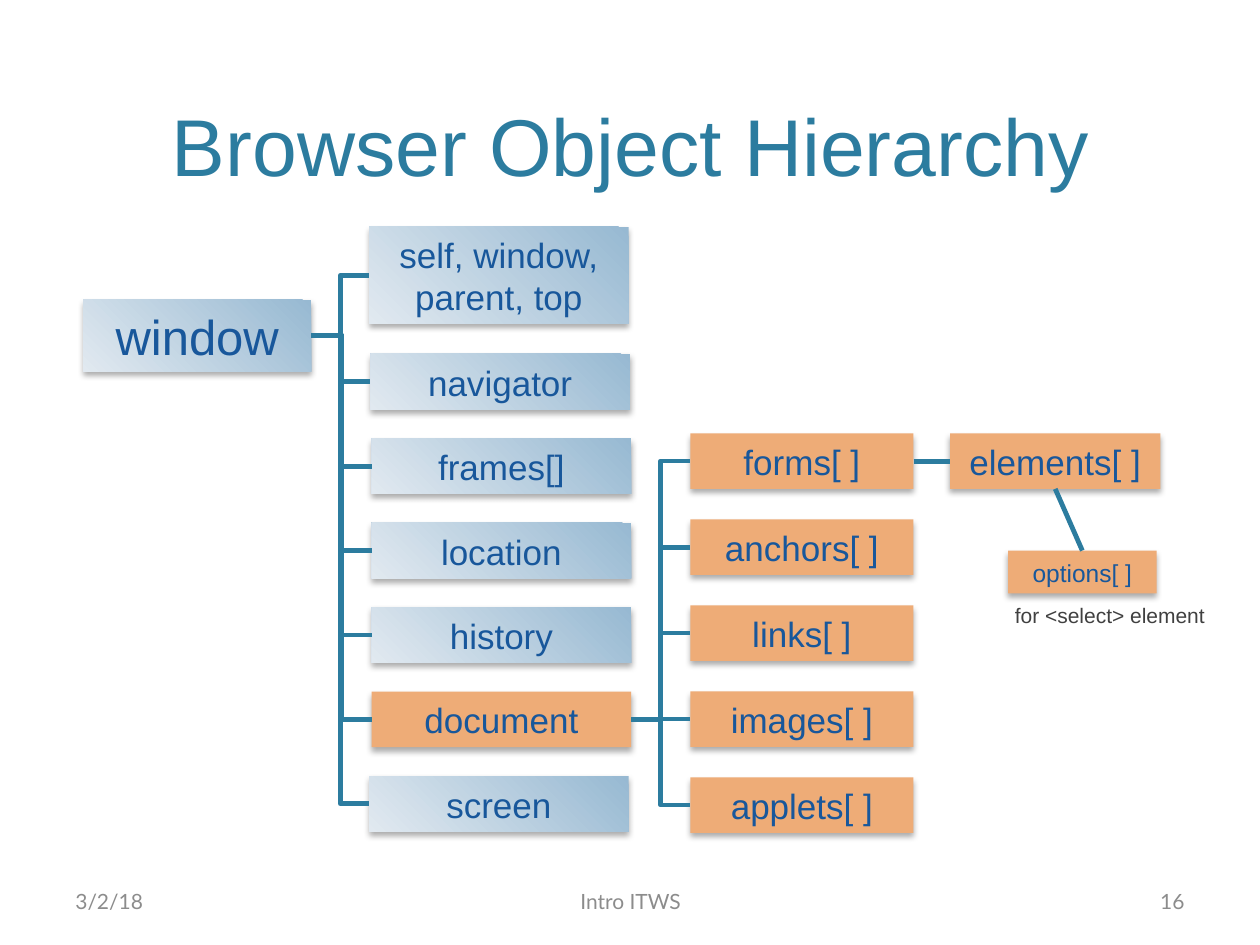
import pptx
import pptx.util
import pptx.dml.color
import pptx.enum.shapes
import pptx.enum.text
import lxml.etree

Inches = pptx.util.Inches
RGB = pptx.dml.color.RGBColor.from_string
ALIGN = pptx.enum.text.PP_ALIGN
ANCHOR = pptx.enum.text.MSO_ANCHOR
LINK = pptx.enum.shapes.MSO_CONNECTOR
DRAWING_NS = "http://schemas.openxmlformats.org/drawingml/2006/main"
TOP, LEFT, BOTTOM, RIGHT = range(4)

THEME = {
    "line": RGB("2C7C9F"), "line_width": pptx.util.Pt(2.75),
    "blue": ("97B9D2", "E1E9F0"), "orange": RGB("EEAC77"),
    "title": {"name": "Arial", "size": pptx.util.Pt(46), "color": RGB("2C7C9F")},
    "root": {"name": "Arial", "size": pptx.util.Pt(28), "color": RGB("18579B")},
    "node": {"name": "Arial", "size": pptx.util.Pt(20), "color": RGB("18579B")},
    "leaf": {"name": "Arial", "size": pptx.util.Pt(14), "color": RGB("18579B")},
    "note": {"name": "Arial", "size": pptx.util.Pt(12), "color": RGB("404040")},
    "footer": {"name": "Lato", "size": pptx.util.Pt(12), "color": RGB("8C8C8C")},
}
SHADOW = (
    f'<a:effectLst xmlns:a="{DRAWING_NS}">'
    '<a:outerShdw blurRad="44450" dist="27940" dir="5400000" algn="ctr" rotWithShape="0">'
    '<a:srgbClr val="000000"><a:alpha val="32000"/></a:srgbClr>'
    '</a:outerShdw></a:effectLst>'
)


def write(shape, text, style, align=ALIGN.CENTER, anchor=ANCHOR.BOTTOM, wrap=True):
    """Put one formatted paragraph into a shape."""
    tf = shape.text_frame
    tf.word_wrap = wrap
    tf.vertical_anchor = anchor
    p = tf.paragraphs[0]
    p.alignment = align
    r = p.add_run()
    r.text = text
    for key, value in THEME[style].items():
        if key == "color":
            r.font.color.rgb = value
        else:
            setattr(r.font, key, value)


prs = pptx.Presentation()
prs.slide_width, prs.slide_height = Inches(10), Inches(7.5)
s = prs.slides.add_slide(prs.slide_layouts[5])

title = s.shapes.title
title.left, title.top, title.width, title.height = map(Inches, (0.6, 0.12, 8.8, 1.46))
write(title, "Browser Object Hierarchy", "title")

# Boxes: text, left, top, width, height, fill, text style
boxes = [
    ("window", 0.66, 2.38, 1.81, 0.57, "blue", "root"),
    ("self, window, parent, top", 2.93, 1.8, 2.06, 0.77, "blue", "node"),
]
window_parts = [("navigator", 2.94), ("frames[]", 2.95), ("location", 2.95),
                ("history", 2.95), ("document", 2.95), ("screen", 2.93)]
for i, (text, left) in enumerate(window_parts):
    fill = "orange" if text == "document" else "blue"
    boxes.append((text, left, 2.81 + 0.67 * i, 2.06, 0.44, fill, "node"))
document_parts = ["forms[ ]", "anchors[ ]", "links[ ]", "images[ ]", "applets[ ]"]
for i, text in enumerate(document_parts):
    boxes.append((text, 5.48, 3.44 + 0.6825 * i, 1.77, 0.44, "orange", "node"))
boxes += [
    ("elements[ ]", 7.54, 3.44, 1.67, 0.44, "orange", "node"),
    ("options[ ]", 8, 4.37, 1.18, 0.34, "orange", "leaf"),
]

nodes = {}
for text, left, top, width, height, fill, style in boxes:
    sp = s.shapes.add_shape(pptx.enum.shapes.MSO_SHAPE.RECTANGLE,
                            Inches(left), Inches(top), Inches(width), Inches(height))
    if fill == "blue":
        sp.fill.gradient()
        sp.fill.gradient_angle = 225
        for stop, color in zip(sp.fill.gradient_stops, THEME["blue"]):
            stop.color.rgb = RGB(color)
    else:
        sp.fill.solid()
        sp.fill.fore_color.rgb = THEME["orange"]
    sp.line.fill.background()
    sp._element.spPr.append(lxml.etree.fromstring(SHADOW))
    write(sp, text, style)
    nodes[text] = sp

# Links: kind, parent, parent side, child, child side
links = [(LINK.ELBOW, "window", RIGHT, child, LEFT)
         for child in ["self, window, parent, top"] + [name for name, _ in window_parts]]
links += [(LINK.ELBOW, "document", RIGHT, child, LEFT) for child in document_parts]
links += [
    (LINK.STRAIGHT, "forms[ ]", RIGHT, "elements[ ]", LEFT),
    (LINK.STRAIGHT, "elements[ ]", BOTTOM, "options[ ]", TOP),
]
for kind, parent, start, child, end in links:
    link = s.shapes.add_connector(kind, 0, 0, 0, 0)
    link.begin_connect(nodes[parent], start)
    link.end_connect(nodes[child], end)
    link.line.color.rgb = THEME["line"]
    link.line.width = THEME["line_width"]
    lxml.etree.SubElement(link._element.spPr, f"{{{DRAWING_NS}}}effectLst")

labels = [
    ("for <select> element", 7.91, 4.73, 1.8, 0.3, "note", ALIGN.CENTER, ANCHOR.BOTTOM, False),
    ("3/2/18", 0.5, 6.95, 2.33, 0.4, "footer", ALIGN.LEFT, ANCHOR.MIDDLE, True),
    ("Intro ITWS", 3.42, 6.95, 3.17, 0.4, "footer", ALIGN.CENTER, ANCHOR.MIDDLE, True),
    ("16", 7.17, 6.95, 2.33, 0.4, "footer", ALIGN.RIGHT, ANCHOR.MIDDLE, True),
]
for text, left, top, width, height, style, align, anchor, wrap in labels:
    label = s.shapes.add_textbox(Inches(left), Inches(top), Inches(width), Inches(height))
    write(label, text, style, align, anchor, wrap)

prs.save("out.pptx")
